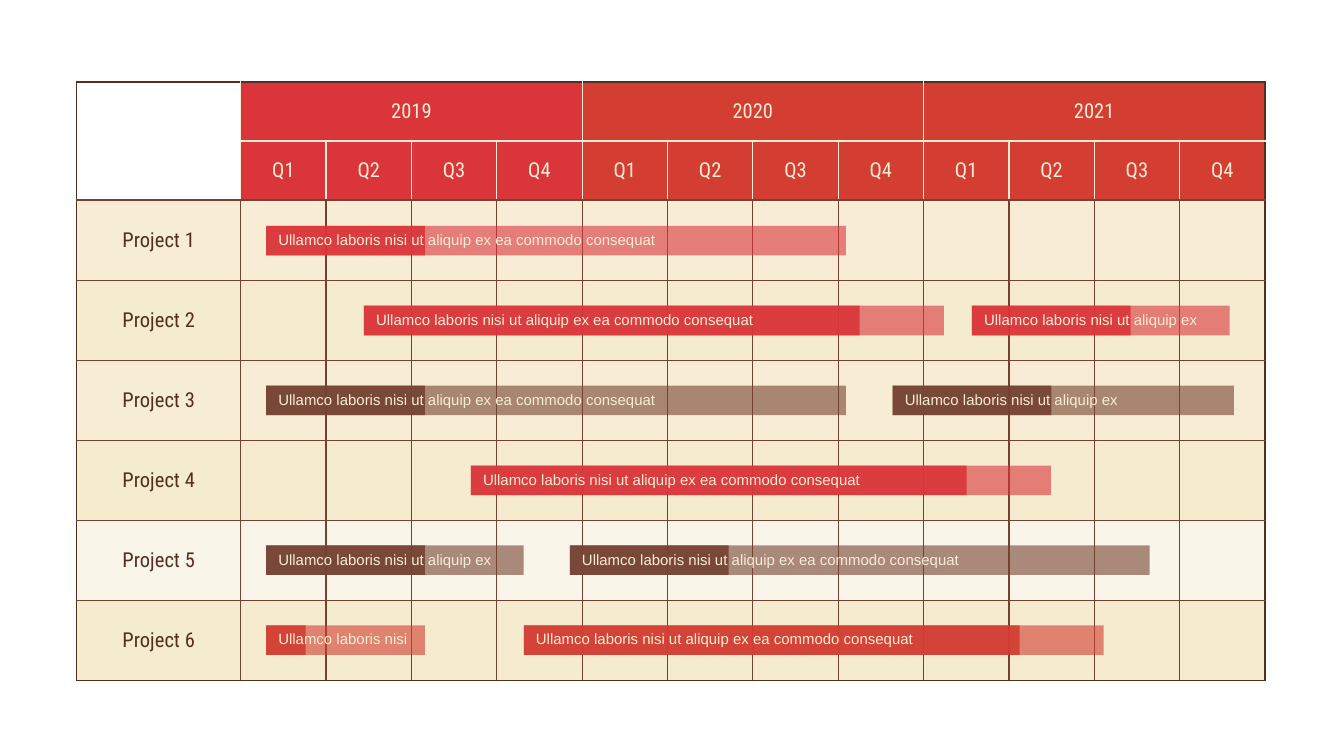
from collections import namedtuple

from lxml.etree import SubElement
from pptx import Presentation
from pptx.dml.color import RGBColor
from pptx.enum.shapes import MSO_SHAPE as Shape
from pptx.enum.text import MSO_ANCHOR as Anchor, PP_ALIGN as Align
from pptx.oxml.ns import qn
from pptx.util import Cm, Pt

Box = namedtuple("Box", "left top width height")

RED, ORANGE, BROWN, DARK = "DA353B", "D33D32", "754231", "522F21"
CREAM, SAND = "F6EDD4", "EDD89E"

YEARS = {"2019": RED, "2020": ORANGE, "2021": ORANGE}
QUARTERS = ("Q1", "Q2", "Q3", "Q4")
HEADER_ROWS = 2
# Background and opacity of each project row
PROJECTS = {
    "Project 1": (CREAM, 100),
    "Project 2": (SAND, 50),
    "Project 3": (CREAM, 100),
    "Project 4": (SAND, 50),
    "Project 5": (CREAM, 50),
    "Project 6": (SAND, 50),
}
LAST_ROW = HEADER_ROWS + len(PROJECTS) - 1
LAST_COLUMN = len(YEARS) * len(QUARTERS)

SHORT = "Ullamco laboris nisi"
MEDIUM = SHORT + " ut aliquip ex"
LONG = MEDIUM + " ea commodo consequat"
LABEL_WIDTHS = {SHORT: 2.87, MEDIUM: 4.75, LONG: 7.9}

# Project row, start from the chart's left, length, length done (cm), colour, label
TASKS = (
    (0, 3.58, 10.96, 3, RED, LONG),
    (1, 5.43, 10.96, 9.37, RED, LONG),
    (1, 16.92, 4.87, 3, RED, MEDIUM),
    (2, 3.58, 10.96, 3, BROWN, LONG),
    (2, 15.42, 6.45, 3, BROWN, MEDIUM),
    (3, 7.45, 10.96, 9.37, RED, LONG),
    (4, 3.58, 4.87, 3, BROWN, MEDIUM),
    (4, 9.32, 10.96, 3, BROWN, LONG),
    (5, 3.58, 3, 0.75, ORANGE, SHORT),
    (5, 8.45, 10.96, 9.37, ORANGE, LONG),
)

INSETS = {"margin_left": Cm(0.09), "margin_right": Cm(0.09),
          "margin_top": Cm(0.05), "margin_bottom": Cm(0.05)}
CELL_FORMAT = {**INSETS, "vertical_anchor": Anchor.MIDDLE}
LABEL_FORMAT = {**INSETS, "vertical_anchor": Anchor.TOP, "word_wrap": True}
HEADING_FONT = {"name": "Roboto Condensed", "size": Pt(11)}
LABEL_FONT = {"name": "Arial", "size": Pt(8)}


def rgb(color):
    return RGBColor.from_string(color)


def apply(target, formats):
    for name, value in formats.items():
        setattr(target, name, value)


def paint(fill, color, opacity=100):
    fill.solid()
    fill.fore_color.rgb = rgb(color)
    if opacity < 100:
        color_node = fill._xPr.find(qn("a:solidFill"))[0]
        SubElement(color_node, qn("a:alpha"), val=str(opacity * 1000))


def write(frame, text, font, color, align):
    paragraph = frame.paragraphs[0]
    paragraph.alignment = align
    run = paragraph.add_run()
    run.text = text
    apply(run.font, font)
    run.font.color.rgb = rgb(color)


def border_colors(row, column):
    """Dark outside, cream between header cells, brown between the others."""
    inner = CREAM if row < HEADER_ROWS else BROWN
    last_year = row == 0 and column == LAST_COLUMN - len(QUARTERS) + 1
    return {
        "lnL": DARK if column == 0 else inner,
        "lnR": DARK if column == LAST_COLUMN or last_year else inner,
        "lnT": DARK if row == 0 else inner,
        "lnB": DARK if row == LAST_ROW else CREAM if row == 0 < column else BROWN,
    }


def draw_borders(cell, colors):
    properties = cell._tc.get_or_add_tcPr()
    for side, color in colors.items():
        line = SubElement(properties, qn(f"a:{side}"), w=str(Pt(0.75)))
        SubElement(SubElement(line, qn("a:solidFill")), qn("a:srgbClr"), val=color)


def fill_cell(cell, text, text_color, color, opacity=100):
    paint(cell.fill, color, opacity)
    if text:
        write(cell.text_frame, text, HEADING_FONT, text_color, Align.CENTER)


def add_calendar(slide, box):
    calendar = slide.shapes.add_table(LAST_ROW + 1, LAST_COLUMN + 1, *box).table
    apply(calendar, {"first_row": False, "horz_banding": False})

    name_width, header_height = Cm(3.1), Cm(2.23)
    for index, column in enumerate(calendar.columns):
        column.width = (box.width - name_width) // LAST_COLUMN if index else name_width
    for index, row in enumerate(calendar.rows):
        row.height = (header_height // HEADER_ROWS if index < HEADER_ROWS
                      else (box.height - header_height) // len(PROJECTS))

    for row in range(LAST_ROW + 1):
        for column in range(LAST_COLUMN + 1):
            cell = calendar.cell(row, column)
            apply(cell, CELL_FORMAT)
            draw_borders(cell, border_colors(row, column))

    corner = calendar.cell(0, 0)
    corner.merge(calendar.cell(1, 0))
    corner.fill.background()

    for index, (year, color) in enumerate(YEARS.items()):
        first = 1 + index * len(QUARTERS)
        heading = calendar.cell(0, first)
        heading.merge(calendar.cell(0, first + len(QUARTERS) - 1))
        fill_cell(heading, year, CREAM, color)
        for column, quarter in enumerate(QUARTERS, first):
            fill_cell(calendar.cell(1, column), quarter, CREAM, color)

    for row, (project, background) in enumerate(PROJECTS.items(), HEADER_ROWS):
        for column in range(LAST_COLUMN + 1):
            name = "" if column else project
            fill_cell(calendar.cell(row, column), name, DARK, *background)


def add_task(slide, box, done, color, label):
    """A pale bar for the whole task, a stronger one for the part done, and a label."""
    task = slide.shapes.add_group_shape()
    for width, opacity in ((box.width, 60), (done, 90)):
        bar = task.shapes.add_shape(
            Shape.RECTANGLE, box.left, box.top, width, box.height)
        bar.shadow.inherit = False
        bar.line.fill.background()
        paint(bar.fill, color, opacity)

    caption = task.shapes.add_textbox(
        box.left + Cm(0.14), box.top + Cm(0.04), Cm(LABEL_WIDTHS[label]), Cm(0.45))
    apply(caption.text_frame, LABEL_FORMAT)
    write(caption.text_frame, label, LABEL_FONT, CREAM, Align.LEFT)


def add_gantt(slide, box):
    add_calendar(slide, box)
    for row, start, length, done, color, label in TASKS:
        top = box.top + Cm(2.72 + 1.51 * row)
        task_box = Box(box.left + Cm(start), top, Cm(length), Cm(0.56))
        add_task(slide, task_box, Cm(done), color, label)


def main():
    deck = Presentation()
    apply(deck, {"slide_width": Cm(25.4), "slide_height": Cm(14.29)})
    slide = deck.slides.add_slide(deck.slide_layouts[6])
    add_gantt(slide, Box(Cm(1.45), Cm(1.55), Cm(22.46), Cm(11.32)))
    deck.save("out.pptx")


if __name__ == "__main__":
    main()
